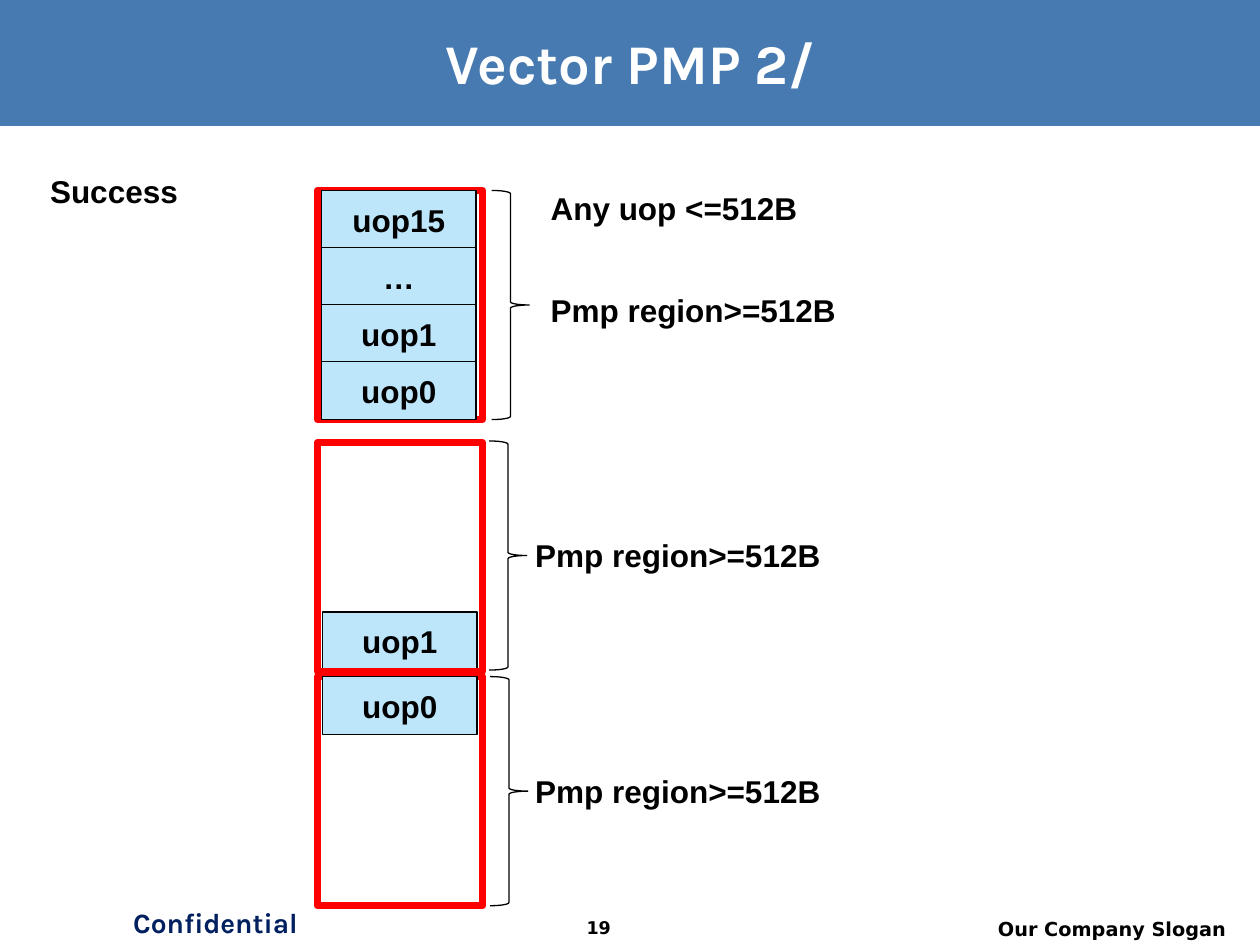
from dataclasses import dataclass

from lxml import etree
from pptx import Presentation
from pptx.dml.color import RGBColor
from pptx.enum import shapes, text
from pptx.oxml import ns
from pptx.util import Cm, Pt

COLORS = {
    "banner": "477AB1",
    "cell": "BEE6FB",
    "region": "FF0000",
    "navy": "002060",
    "black": "000000",
    "white": "FFFFFF",
}
SHAPE = shapes.MSO_SHAPE
ALIGN = text.PP_ALIGN
REGION_LEFT, REGION_W, REGION_H = 6.4, 3.33, 4.62
CELL_W, CELL_H, CELL_PITCH = 3.12, 1.17, 1.15
BRACE_W = 0.76


@dataclass
class Cell:
    label: str
    left: float
    top: float


@dataclass
class Region:
    top: float
    brace_left: float
    brace_top: float
    label_left: float
    label_top: float
    cells: list[Cell]


@dataclass
class Label:
    words: str
    left: float
    top: float
    width: float
    height: float = 1.02


def rgb(name: str) -> RGBColor:
    return RGBColor.from_string(COLORS[name])


def write(sp, words: str, *, size: float = 18, font: str = "Arial",
          color: str = "black", align=ALIGN.CENTER, wrap: bool = True,
          shadow: bool = False) -> None:
    tf = sp.text_frame
    tf.word_wrap = wrap
    tf.vertical_anchor = text.MSO_ANCHOR.MIDDLE
    p = tf.paragraphs[0]
    p.alignment = align
    r = p.add_run()
    r.text = words
    r.font.size, r.font.bold, r.font.name = Pt(size), True, font
    r.font.color.rgb = rgb(color)
    if shadow:
        add_text_shadow(r)


def add_text_shadow(r) -> None:
    """Give a coloured run a hard black shadow down and to the right."""
    effects = etree.Element(ns.qn("a:effectLst"))
    outer = etree.SubElement(effects, ns.qn("a:outerShdw"),
                             dist="38100", dir="2700000", algn="tl")
    etree.SubElement(outer, ns.qn("a:srgbClr"), val=COLORS["black"])
    r.font._element.find(ns.qn("a:solidFill")).addnext(effects)


def add_shape(s, kind, left: float, top: float, width: float, height: float,
              *, fill: str = "", line: str = "", weight: float = 0.75):
    sp = s.shapes.add_shape(kind, Cm(left), Cm(top), Cm(width), Cm(height))
    sp.shadow.inherit = False
    if fill:
        sp.fill.solid()
        sp.fill.fore_color.rgb = rgb(fill)
    else:
        sp.fill.background()
    if line:
        sp.line.color.rgb = rgb(line)
        sp.line.width = Pt(weight)
    else:
        sp.line.fill.background()
    return sp


def add_label(s, label: Label, **fmt) -> None:
    sp = s.shapes.add_textbox(Cm(label.left), Cm(label.top),
                              Cm(label.width), Cm(label.height))
    write(sp, label.words, **fmt)


def add_note(s, label: Label) -> None:
    add_label(s, label, align=ALIGN.LEFT, wrap=False)


def add_region(s, region: Region) -> None:
    """Draw a red frame with its cells, brace and size note."""
    add_shape(s, SHAPE.RECTANGLE, REGION_LEFT, region.top, REGION_W, REGION_H,
              line="region", weight=4)
    for cell in region.cells:
        sp = add_shape(s, SHAPE.RECTANGLE, cell.left, cell.top, CELL_W, CELL_H,
                       fill="cell", line="black")
        write(sp, cell.label)
    add_shape(s, SHAPE.RIGHT_BRACE, region.brace_left, region.brace_top,
              BRACE_W, REGION_H, line="black")
    add_note(s, Label("Pmp region>=512B", region.label_left,
                      region.label_top, 6.32))


def main() -> None:
    prs = Presentation()
    prs.slide_width, prs.slide_height = Cm(25.4), Cm(19.05)
    s = prs.slides.add_slide(prs.slide_layouts[6])

    add_shape(s, SHAPE.RECTANGLE, 0, 0, 25.4, 2.54, fill="banner")
    add_label(s, Label("Confidential", 2.26, 18.06, 4.17, 1.07),
              size=16, font="Karla", color="navy", wrap=False)
    add_label(s, Label("Our Company Slogan", 18.95, 18.39, 6.02, 0.66),
              size=11, font="DejaVu Sans", align=ALIGN.RIGHT)
    add_label(s, Label("19", 10.9, 18.34, 2.34, 0.71),
              size=10, font="DejaVu Sans")
    add_label(s, Label("Vector PMP 2/", 0.89, 0.41, 23.65, 1.68),
              size=32, font="Karla", color="white", shadow=True)

    stack = [Cell(name, 6.48, 3.84 + i * CELL_PITCH)
             for i, name in enumerate(["uop15", "…", "uop1", "uop0"])]
    split = [Cell("uop0", 6.5, 13.64), Cell("uop1", 6.5, 12.34)]
    # The middle frame comes last so that its edge covers the split uop1 cell.
    for region in (
        Region(3.84, 9.91, 3.84, 10.85, 5.74, stack),
        Region(13.64, 9.88, 13.64, 10.54, 15.44, split),
        Region(8.92, 9.86, 8.89, 10.54, 10.67, []),
    ):
        add_region(s, region)

    add_note(s, Label("Any uop <=512B", 10.85, 3.68, 5.54))
    add_note(s, Label("Success", 0.76, 3.33, 3.12))
    prs.save("out.pptx")


if __name__ == "__main__":
    main()
